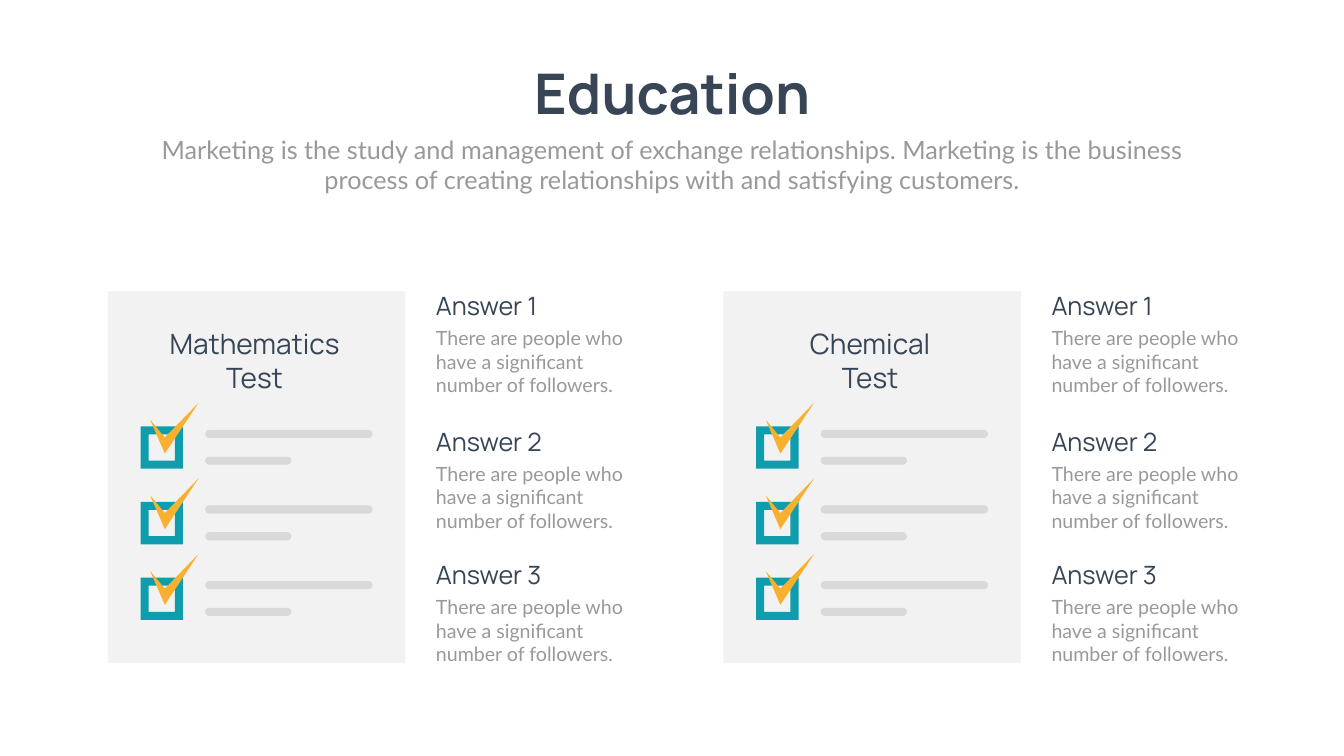
import dataclasses
import typing

import pptx
import pptx.dml.color
import pptx.enum.shapes
import pptx.enum.text
import pptx.oxml.ns
import pptx.util

Inches = pptx.util.Inches
Pt = pptx.util.Pt
MSO = pptx.enum.shapes.MSO_SHAPE
ALIGN = pptx.enum.text.PP_ALIGN

NAVY, GREY, PANEL, BAR, TEAL, AMBER = "374556", "999999", "F2F2F2", "D9D9D9", "0F9DAD", "FAB02F"

TITLE = {"name": "Manrope", "size": Pt(80), "bold": True}
HEADING = {"name": "Manrope", "size": Pt(40), "bold": False}
ANSWER = {"name": "Manrope", "size": Pt(36), "bold": False}
INTRO = {"name": "Lato", "size": Pt(36), "bold": False}
BODY = {"name": "Lato", "size": Pt(28), "bold": False}

COLUMN_PITCH = 12.21
ROW_PITCH = 1.5
ROWS = 3
ANSWER_TOPS = (5.71, 8.4, 11.05)
ANSWER_TEXT = "There are people who have a significant number of followers."
TICK = ((3.27, 8.68), (2.98, 8.33), (3.27, 9), (3.94, 7.99))


@dataclasses.dataclass(frozen=True)
class Box:
    x: float
    y: float
    w: float
    h: float

    def moved(self, dx: float, dy: float) -> "Box":
        return Box(self.x + dx, self.y + dy, self.w, self.h)

    def emu(self) -> tuple:
        return tuple(Inches(v) for v in (self.x, self.y, self.w, self.h))


@dataclasses.dataclass(frozen=True)
class Part:
    kind: typing.Any
    box: Box
    color: str
    adjust: float


@dataclasses.dataclass(frozen=True)
class Test:
    heading: str
    heading_width: float


PANEL_PART = Part(MSO.RECTANGLE, Box(2.14, 5.78, 5.9, 7.38), PANEL, 0)
ROW_PARTS = (
    Part(MSO.ROUNDED_RECTANGLE, Box(4.07, 8.53, 3.32, 0.16), BAR, 0.5),
    Part(MSO.ROUNDED_RECTANGLE, Box(4.07, 9.06, 1.71, 0.16), BAR, 0.5),
    Part(MSO.FRAME, Box(2.79, 8.46, 0.84, 0.84), TEAL, 0.19),
)
TESTS = (Test("Mathematics Test", 4.71), Test("Chemical Test", 3.5))


def rgb(color: str) -> pptx.dml.color.RGBColor:
    return pptx.dml.color.RGBColor.from_string(color)


def paint(sp: typing.Any, color: str) -> None:
    sp.shadow.inherit = False
    sp.fill.solid()
    sp.fill.fore_color.rgb = rgb(color)
    sp.line.fill.background()


def write(sp: typing.Any, text: str, font: dict, color: str, align: typing.Any, wrap: bool = True) -> None:
    tf = sp.text_frame
    frame = {
        "word_wrap": wrap,
        "auto_size": pptx.enum.text.MSO_AUTO_SIZE.NONE,
        "vertical_anchor": pptx.enum.text.MSO_ANCHOR.TOP,
    }
    for key, value in frame.items():
        setattr(tf, key, value)
    p = tf.paragraphs[0]
    p.alignment = align
    p.space_before = Pt(0)
    r = p.add_run()
    r.text = text
    for key, value in font.items():
        setattr(r.font, key, value)
    r.font.color.rgb = rgb(color)


def place(sp: typing.Any, box: Box) -> None:
    for key, value in zip(("left", "top", "width", "height"), box.emu()):
        setattr(sp, key, value)


def draw_part(shapes: typing.Any, part: Part, dx: float, dy: float) -> None:
    sp = shapes.add_shape(part.kind, *part.box.moved(dx, dy).emu())
    if part.adjust:
        sp.adjustments[0] = part.adjust
    paint(sp, part.color)


def draw_tick(shapes: typing.Any, dx: float, dy: float) -> None:
    points = [(Inches(x + dx), Inches(y + dy)) for x, y in TICK]
    fb = shapes.build_freeform(*points[0])
    fb.add_line_segments(points[1:], close=True)
    paint(fb.convert_to_shape(), AMBER)


def draw_test(s: typing.Any, test: Test, dx: float) -> None:
    shapes = s.shapes.add_group_shape().shapes
    draw_part(shapes, PANEL_PART, dx, 0)
    for row in range(ROWS):
        dy = row * ROW_PITCH
        for part in ROW_PARTS:
            draw_part(shapes, part, dx, dy)
        draw_tick(shapes, dx, dy)
    box = Box(5.05 + dx - test.heading_width / 2, 6.43, test.heading_width, 1.45)
    write(shapes.add_textbox(*box.emu()), test.heading, HEADING, NAVY, ALIGN.CENTER)


def draw_answer(s: typing.Any, number: int, top: float, dx: float) -> None:
    shapes = s.shapes.add_group_shape().shapes
    head = Box(8.55 + dx, top, 4.21, 0.71)
    body = Box(head.x, top + head.h, head.w, 1.51)
    write(shapes.add_textbox(*head.emu()), f"Answer {number}", ANSWER, NAVY, ALIGN.LEFT)
    write(shapes.add_textbox(*body.emu()), ANSWER_TEXT, BODY, GREY, ALIGN.LEFT)


def draw_header(s: typing.Any) -> None:
    title, intro = s.shapes.title, s.placeholders[1]
    place(title, Box(10.32, 1.12, 6.03, 1.45))
    write(title, "Education", TITLE, NAVY, ALIGN.CENTER, wrap=False)
    place(intro, Box(2.92, 2.61, 20.82, 1.31))
    pPr = intro.text_frame.paragraphs[0]._p.get_or_add_pPr()
    pPr.set("marL", "0")
    pPr.set("indent", "0")
    pPr.append(pptx.oxml.parse_xml(f"<a:buNone {pptx.oxml.ns.nsdecls('a')}/>"))
    write(
        intro,
        "Marketing is the study and management of exchange relationships. "
        "Marketing is the business process of creating relationships with and satisfying customers.",
        INTRO, GREY, ALIGN.CENTER,
    )


def main() -> None:
    prs = pptx.Presentation()
    prs.slide_width, prs.slide_height = Inches(26.66), Inches(15)
    s = prs.slides.add_slide(prs.slide_layouts[1])
    s.background.fill.solid()
    s.background.fill.fore_color.rgb = rgb("FEFFFE")
    draw_header(s)
    for column, test in enumerate(TESTS):
        dx = column * COLUMN_PITCH
        draw_test(s, test, dx)
        for number, top in enumerate(ANSWER_TOPS, 1):
            draw_answer(s, number, top, dx)
    prs.save("out.pptx")


if __name__ == "__main__":
    main()
